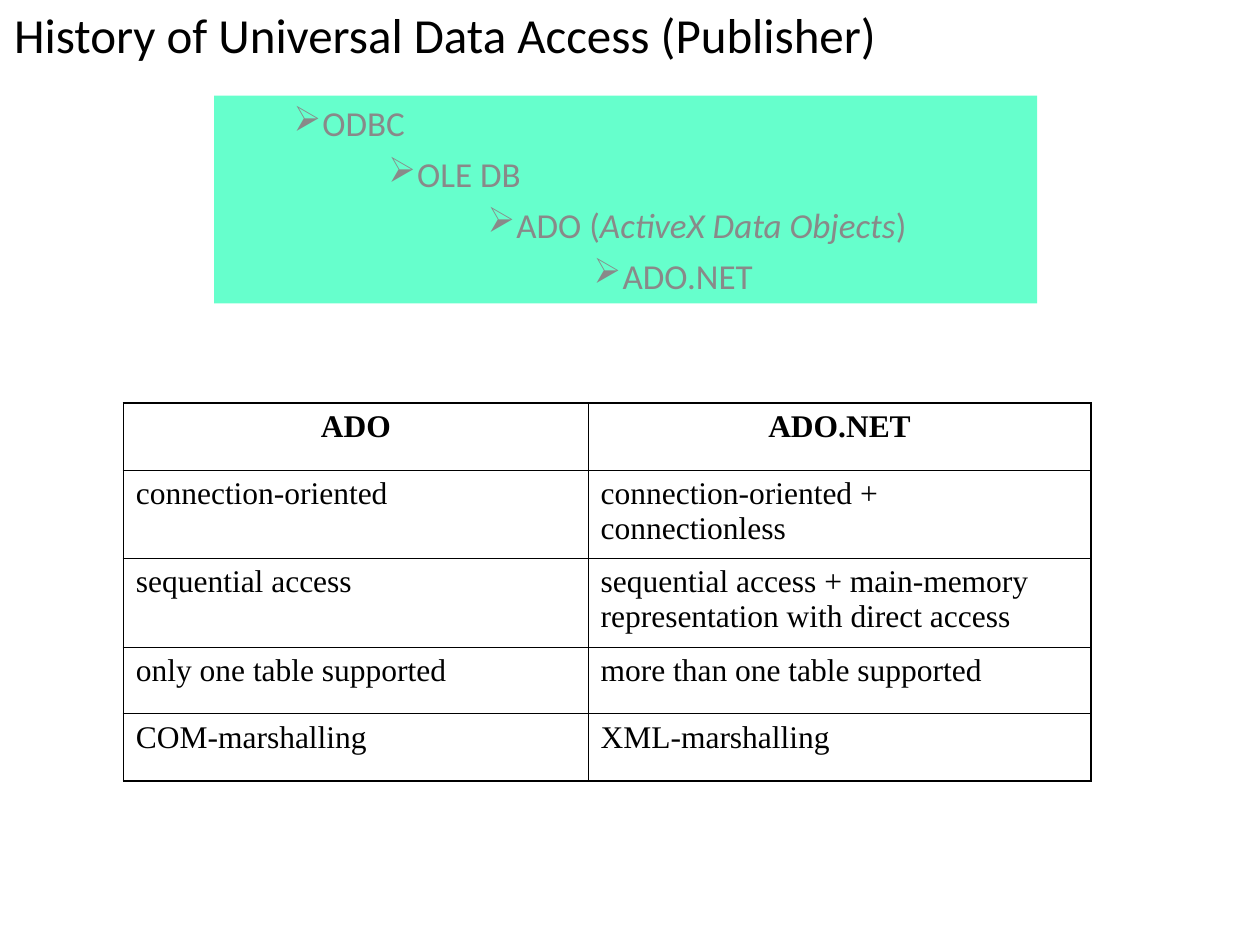
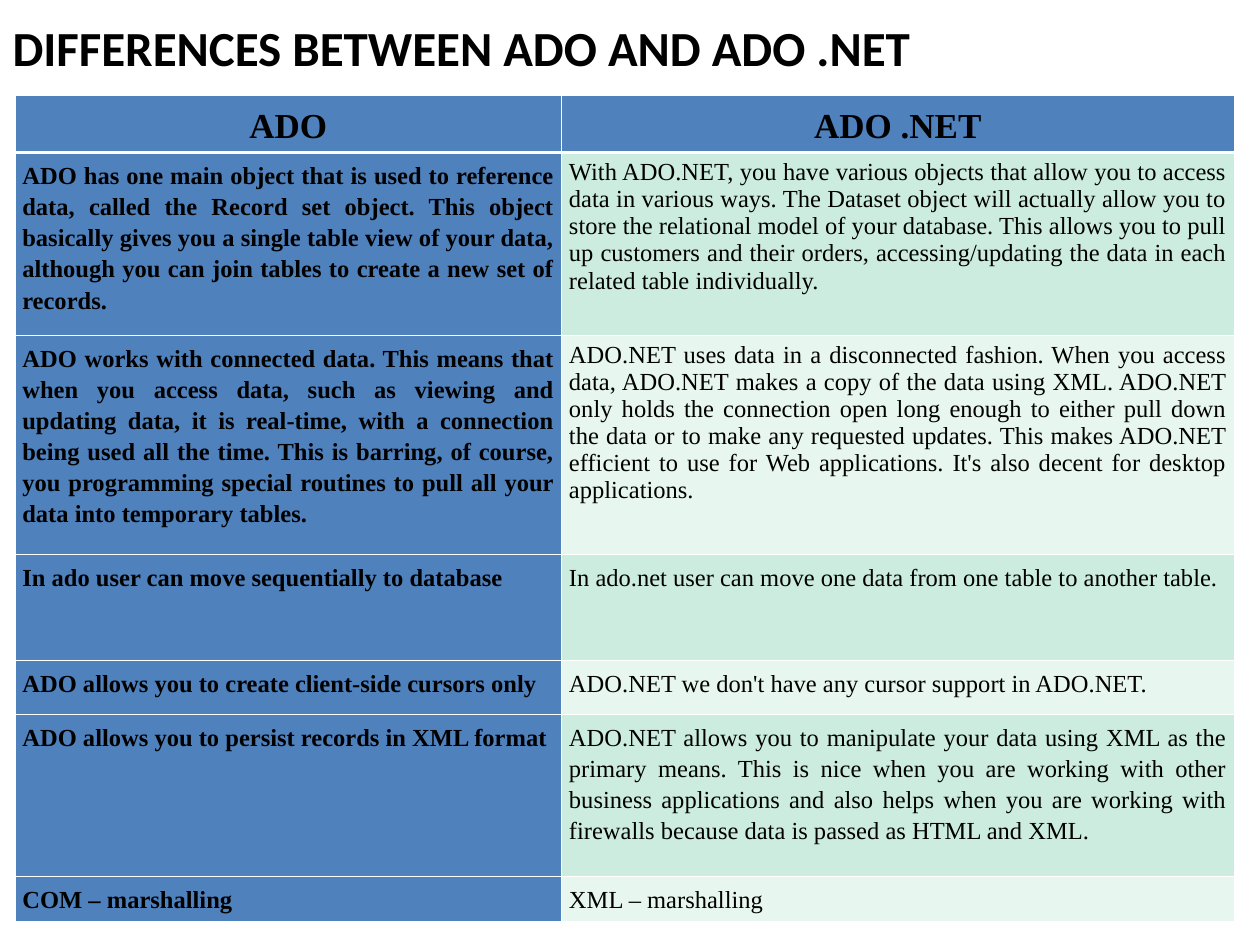
"""Build two slides on the history and the differences of ADO and ADO.NET."""
from dataclasses import dataclass
from typing import Any

from lxml.etree import SubElement
from pptx import Presentation
from pptx.dml.color import RGBColor as Rgb
from pptx.enum.shapes import MSO_SHAPE as Shape
from pptx.enum.text import MSO_ANCHOR as Anchor, MSO_AUTO_SIZE as AutoSize, PP_ALIGN as Align
from pptx.oxml.ns import qn
from pptx.util import Cm, Pt


@dataclass(frozen=True)
class Theme:
    """Colours, fonts and type sizes of the deck."""
    black: str = "000000"
    white: str = "FFFFFF"
    gray: str = "898989"
    mint: str = "66FFCC"
    blue: str = "4F81BD"
    bands: tuple = ("CBECDE", "E7F6EF")
    sans: str = "Calibri"
    serif: str = "Times New Roman"
    title: int = 28
    large: int = 20
    medium: int = 18
    small: int = 14
    thin: float = 0.45
    outer: float = 1.08
    header_rule: float = 1.47


def apply(target, values):
    """Set each attribute named in a dict of format values."""
    for name, value in values.items():
        setattr(target, name, value)


@dataclass
class SlideMaker:
    """Holds the style and the current slide and adds elements to it."""
    deck: Any
    theme: Theme
    page: Any = None

    def style(self, para, size, font, color, bold=False, **layout):
        """Format a paragraph and all its runs."""
        apply(para, layout)
        for span in para.runs:
            apply(span.font, {"name": font, "size": Pt(size), "bold": bold})
            span.font.color.rgb = Rgb.from_string(color)

    def start(self, text, left, top, width, height, bold=False, spacing=1.0):
        """Add a title-only slide and place its title."""
        self.page = self.deck.slides.add_slide(self.deck.slide_layouts[5])
        title = self.page.shapes.title
        apply(title, {"left": Cm(left), "top": Cm(top), "width": Cm(width), "height": Cm(height)})
        title.text_frame.text = text
        apply(title.text_frame, {"vertical_anchor": Anchor.MIDDLE, "auto_size": AutoSize.NONE})
        self.style(title.text_frame.paragraphs[0], self.theme.title, self.theme.sans,
                   self.theme.black, bold, alignment=Align.LEFT, line_spacing=spacing)

    def staircase(self, steps, left, top, width, height):
        """Add a filled box whose bulleted lines step to the right."""
        box = self.page.shapes.add_shape(Shape.RECTANGLE, Cm(left), Cm(top), Cm(width), Cm(height))
        box.shadow.inherit = False
        box.fill.solid()
        box.fill.fore_color.rgb = Rgb.from_string(self.theme.mint)
        box.line.fill.background()
        frame = box.text_frame
        apply(frame, {"word_wrap": True, "vertical_anchor": Anchor.TOP})
        for level, (indent, pieces) in enumerate(steps):
            para = frame.add_paragraph() if level else frame.paragraphs[0]
            for text, italic in pieces:
                span = para.add_run()
                span.text = text
                span.font.italic = italic
            self.style(para, self.theme.large, self.theme.sans, self.theme.gray,
                       alignment=Align.LEFT, space_before=Pt(5), level=level)
            self.bullet(para, indent)

    def bullet(self, para, indent, hang=0.58):
        """Give a paragraph a hanging arrow bullet."""
        props = para._p.get_or_add_pPr()
        props.set("marL", str(Cm(indent)))
        props.set("indent", str(-Cm(hang)))
        color = SubElement(props, qn("a:buClr"))
        SubElement(color, qn("a:srgbClr"), val=self.theme.gray)
        SubElement(props, qn("a:buChar"), char="➢")

    def borders(self, cell, color, widths):
        """Draw the left, right, top and bottom borders of a cell."""
        props = cell._tc.get_or_add_tcPr()
        for place, (side, width) in enumerate(zip("LRTB", widths)):
            line = SubElement(props, qn(f"a:ln{side}"), w=str(Pt(width)))
            fill = SubElement(line, qn("a:solidFill"))
            SubElement(fill, qn("a:srgbClr"), val=color)
            props.insert(place, line)

    def table(self, rows, left, top, columns, heights, look):
        """Add a table whose cells are formatted by look(row, column)."""
        frame = self.page.shapes.add_table(len(rows), len(columns), Cm(left), Cm(top),
                                           Cm(sum(columns)), Cm(sum(heights)))
        table = frame.table
        apply(table, {"first_row": False, "horz_banding": False})
        for column, width in zip(table.columns, columns):
            column.width = Cm(width)
        for row, height in zip(table.rows, heights):
            row.height = Cm(height)
        for r, texts in enumerate(rows):
            for c, text in enumerate(texts):
                cell, form = table.cell(r, c), look(r, c)
                apply(cell, {"margin_left": Cm(form["margin"]), "margin_right": Cm(form["margin"])})
                if form["fill"]:
                    cell.fill.solid()
                    cell.fill.fore_color.rgb = Rgb.from_string(form["fill"])
                else:
                    cell.fill.background()
                para = cell.text_frame.paragraphs[0]
                para.text = text
                self.style(para, form["size"], self.theme.serif, self.theme.black,
                           form["bold"], **form["layout"])
                self.borders(cell, form["border"], form["widths"])


HISTORY = [
    (1.93, [("ODBC", False)]),
    (3.84, [("OLE DB", False)]),
    (5.84, [("ADO (", False), ("ActiveX Data Objects", True), (")", False)]),
    (7.98, [("ADO.NET", False)]),
]
SUMMARY = [
    ("ADO", "ADO.NET"),
    ("connection-oriented", "connection-oriented +\vconnectionless"),
    ("sequential access", "sequential access + main-memory representation with direct access"),
    ("only one table supported", "more than one table supported"),
    ("COM-marshalling", "XML-marshalling"),
]
DIFFERENCES = [
    ("ADO", "ADO .NET"),
    ("ADO has one main object that is used to reference data, called the Record set object. "
     "This object basically gives you a single table view of your data, although you can join "
     "tables to create a new set of records.",
     "With ADO.NET, you have various objects that allow you to access data in various ways. "
     "The Dataset object will actually allow you to store the relational model of your database. "
     "This allows you to pull up customers and their orders, accessing/updating the data in each "
     "related table individually."),
    ("ADO works with connected data. This means that when you access data, such as viewing and "
     "updating data, it is real-time, with a connection being used all the time. This is barring, "
     "of course, you programming special routines to pull all your data into temporary tables.",
     "ADO.NET uses data in a disconnected fashion. When you access data, ADO.NET makes a copy of "
     "the data using XML. ADO.NET only holds the connection open long enough to either pull down "
     "the data or to make any requested updates. This makes ADO.NET efficient to use for Web "
     "applications. It's also decent for desktop applications."),
    ("In ado user can move sequentially to database",
     "In ado.net user can move one data from one table to another table."),
    ("ADO allows you to create client-side cursors only",
     "ADO.NET we don't have any cursor support in ADO.NET."),
    ("ADO allows you to persist records in XML format",
     "ADO.NET allows you to manipulate your data using XML as the primary means. This is nice "
     "when you are working with other business applications and also helps when you are working "
     "with firewalls because data is passed as HTML and XML."),
    ("COM – marshalling", "XML – marshalling"),
]


def summary_look(row, column):
    """Return the format of a cell in the outlined summary table."""
    theme, header = Theme(), row == 0
    edges = (column == 0, column == 1, header, row == len(SUMMARY) - 1)
    return {
        "margin": 0.25, "fill": None, "size": theme.medium, "bold": header,
        "border": theme.black,
        "widths": [theme.outer if edge else theme.thin for edge in edges],
        "layout": {"alignment": Align.CENTER if header else Align.LEFT, "space_before": Pt(4.5)},
    }


def differences_look(row, column):
    """Return the format of a cell in the banded differences table."""
    theme, header = Theme(), row == 0
    strong = header or column == 0
    return {
        "margin": 0.15, "fill": theme.blue if strong else theme.bands[(row - 1) % 2],
        "size": theme.large if header else theme.small, "bold": strong,
        "border": theme.white,
        "widths": [theme.thin, theme.thin, theme.header_rule if row == 1 else theme.thin,
                   theme.header_rule if header else theme.thin],
        "layout": {"alignment": Align.CENTER if header else Align.JUSTIFY,
                   "line_spacing": 1.0 if column == 1 and row in (1, 2) else 1.15},
    }


def main():
    """Build and save the deck."""
    deck = Presentation()
    apply(deck, {"slide_width": Cm(25.4), "slide_height": Cm(19.05)})
    maker = SlideMaker(deck, Theme())

    maker.start("History of Universal Data Access (Publisher)", 0.03, 0.05, 23.8, 1.4, spacing=0.9)
    maker.staircase(HISTORY, 4.32, 1.93, 16.59, 4.19)
    maker.table(SUMMARY, 2.49, 8.13, (9.37, 10.13), (1.35, 1.78, 1.78, 1.35, 1.35), summary_look)

    maker.start("DIFFERENCES BETWEEN ADO AND ADO .NET", 0, 0, 23.7, 1.9, bold=True)
    maker.table(DIFFERENCES, 0.3, 1.92, (11.02, 13.56),
                (1.14, 3.68, 4.42, 2.13, 1.09, 3.28, 0.89), differences_look)
    deck.save("out.pptx")


if __name__ == "__main__":
    main()
